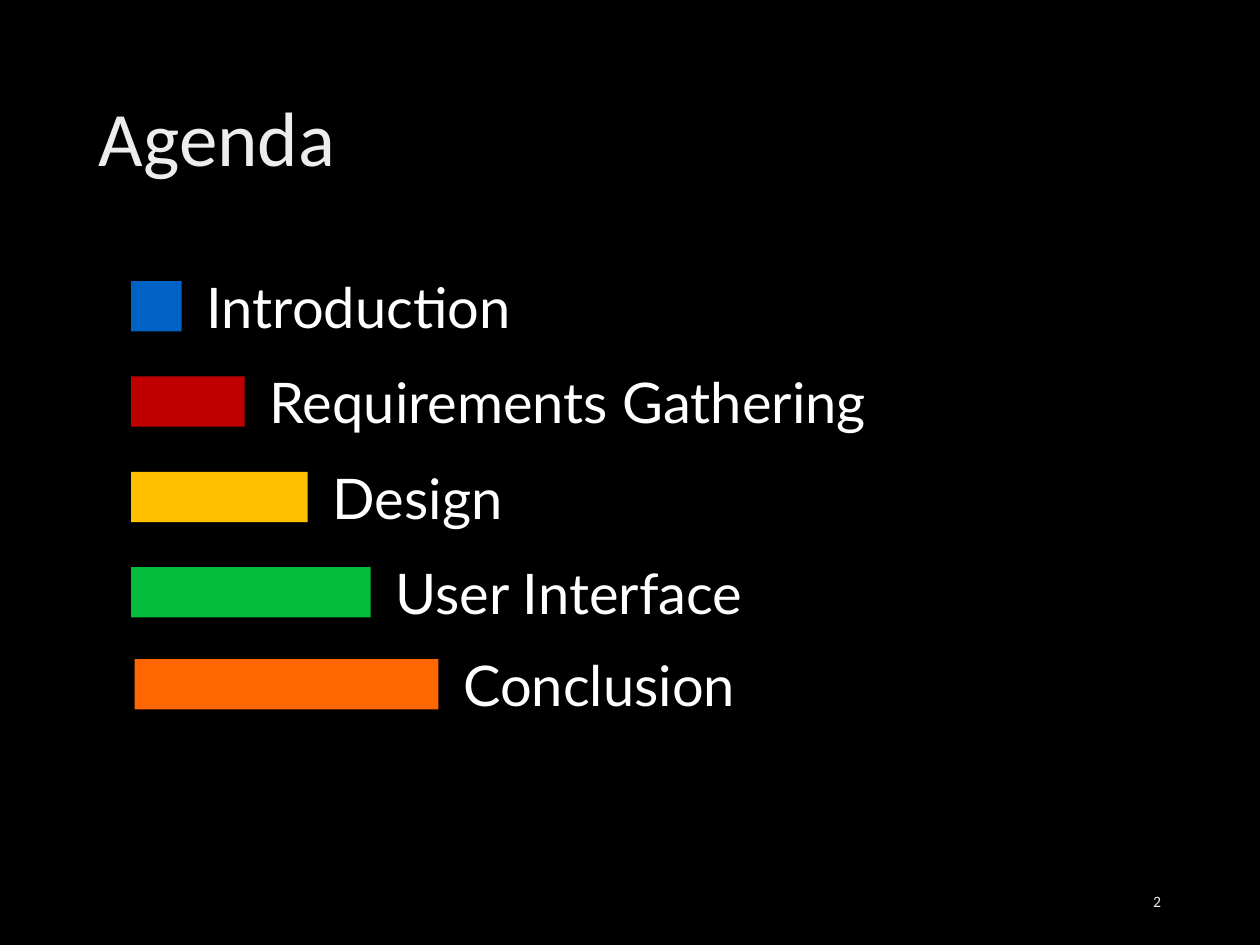
from pptx import Presentation
from pptx.dml.color import RGBColor
from pptx.enum.shapes import MSO_SHAPE
from pptx.enum.text import MSO_ANCHOR, PP_ALIGN
from pptx.util import Pt

RECTANGLE = MSO_SHAPE.RECTANGLE
MIDDLE = MSO_ANCHOR.MIDDLE
LEFT, RIGHT = PP_ALIGN.LEFT, PP_ALIGN.RIGHT

BLACK = RGBColor(0x00, 0x00, 0x00)
WHITE = RGBColor(0xFF, 0xFF, 0xFF)
SILVER = RGBColor(0xED, 0xED, 0xED)
BLUE = RGBColor(0x00, 0x62, 0xC4)
RED = RGBColor(0xC0, 0x00, 0x00)
AMBER = RGBColor(0xFF, 0xC0, 0x00)
GREEN = RGBColor(0x03, 0xBD, 0x3D)
ORANGE = RGBColor(0xFF, 0x66, 0x00)

BAR_LEFT, BAR_TOP, BAR_HEIGHT = 75, 160.6, 28.8
ROW_STEP, FIRST_WIDTH, WIDTH_STEP = 54.5, 28.8, 36
LABEL_GAP, LABEL_RISE, LABEL_HEIGHT = 7.2, 10.8, 50.4

prs = Presentation()
prs.slide_width, prs.slide_height = Pt(720), Pt(540)
slide = prs.slides.add_slide(prs.slide_layouts[6])
slide.background.fill.solid()
slide.background.fill.fore_color.rgb = BLACK


def add_text(text, left, top, width, height, size, font, color, align=LEFT):
    box = slide.shapes.add_textbox(Pt(left), Pt(top), Pt(width), Pt(height))
    frame = box.text_frame
    frame.word_wrap = True
    frame.vertical_anchor = MIDDLE
    paragraph = frame.paragraphs[0]
    paragraph.alignment = align
    run = paragraph.add_run()
    run.text = text
    run.font.size = Pt(size)
    run.font.name = font
    run.font.color.rgb = color
    return paragraph


title = add_text("Agenda", 49.5, 28.8, 621, 104.4, 44, "Calibri", SILVER)
title.line_spacing = 0.9
add_text("2", 508.5, 500.4, 162, 28.8, 9, "Calibri", SILVER, RIGHT)

topics = [
    ("Introduction", BLUE),
    ("Requirements Gathering", RED),
    ("Design", AMBER),
    ("User Interface", GREEN),
]
agenda = [
    (topic, color, BAR_LEFT, BAR_TOP + row * ROW_STEP, FIRST_WIDTH + row * WIDTH_STEP, 432)
    for row, (topic, color) in enumerate(topics)
]
agenda.append(("Conclusion", ORANGE, 77, 376.6, 173.5, 234))

for topic, color, left, top, width, label_width in agenda:
    bar = slide.shapes.add_shape(RECTANGLE, Pt(left), Pt(top), Pt(width), Pt(BAR_HEIGHT))
    bar.shadow.inherit = False
    bar.fill.solid()
    bar.fill.fore_color.rgb = color
    bar.line.fill.background()
    add_text(topic, left + width + LABEL_GAP, top - LABEL_RISE,
             label_width, LABEL_HEIGHT, 32, "Lato", WHITE)

prs.save("out.pptx")
